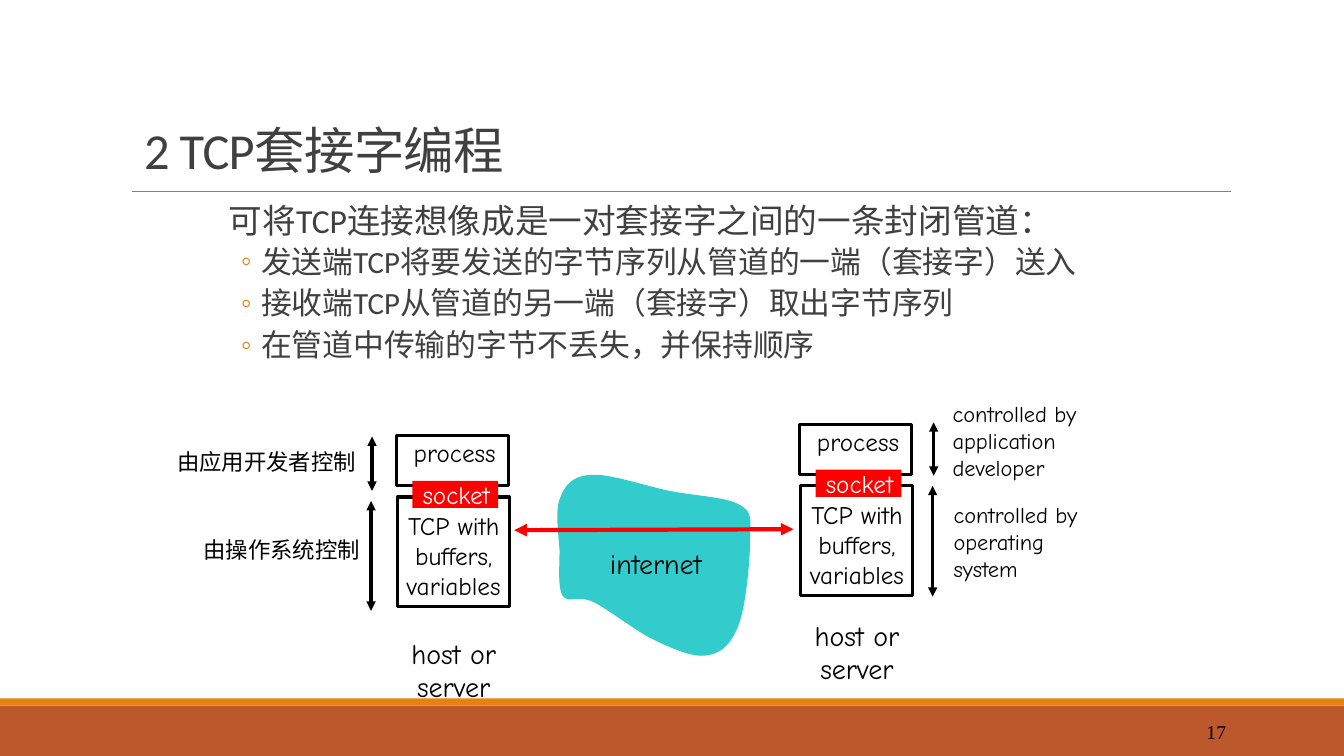
from dataclasses import dataclass

from lxml.etree import SubElement
from pptx import Presentation
from pptx.dml.color import RGBColor
from pptx.enum.shapes import MSO_CONNECTOR, MSO_SHAPE
from pptx.enum.text import MSO_ANCHOR, MSO_AUTO_SIZE, PP_ALIGN
from pptx.oxml.ns import qn
from pptx.util import Inches, Pt


@dataclass(frozen=True)
class Theme:
    heading_font: str = "Calibri"
    diagram_font: str = "Comic Neue"
    number_font: str = "Times New Roman"
    ink: str = "404040"
    black: str = "000000"
    white: str = "FFFFFF"
    rule: str = "808080"
    accent: str = "E48312"
    footer: str = "BD582C"
    red: str = "FF0000"
    cloud: str = "33CCCC"
    title_size: float = 36
    lead_size: float = 24
    bullet_size: float = 22
    caption_size: float = 20
    host_size: float = 18
    note_size: float = 16
    number_size: float = 14
    outline: float = 2.25
    pipe: float = 3
    hairline: float = 0.5


THEME = Theme()

CLOUD_START = (5.87, 4.71)
CLOUD_CURVES = [
    ((5.69, 4.72), (5.61, 4.8), (5.56, 4.93)),
    ((5.5, 5.05), (5.54, 5.3), (5.55, 5.46)),
    ((5.55, 5.63), (5.53, 5.82), (5.58, 5.91)),
    ((5.64, 5.99), (5.73, 5.9), (5.88, 5.97)),
    ((6.03, 6.04), (6.3, 6.26), (6.49, 6.35)),
    ((6.68, 6.44), (6.88, 6.53), (7.02, 6.5)),
    ((7.16, 6.48), (7.26, 6.38), (7.33, 6.19)),
    ((7.4, 6), (7.44, 5.55), (7.44, 5.35)),
    ((7.44, 5.15), (7.47, 5.09), (7.34, 5.01)),
    ((7.21, 4.93), (6.89, 4.92), (6.64, 4.87)),
    ((6.4, 4.82), (6.05, 4.7), CLOUD_START),
]


def rgb(value):
    return RGBColor.from_string(value)


def place(shape, box):
    shape.left, shape.top, shape.width, shape.height = map(Inches, box)


def style_font(paragraph, face, size, color):
    paragraph.font.name = face
    paragraph.font.size = Pt(size)
    paragraph.font.color.rgb = rgb(color)


def sample_curves(start, curves, steps=12):
    """Return points along a chain of cubic Bezier curves."""
    points = []
    for first, second, end in curves:
        for step in range(1, steps + 1):
            t = step / steps
            weights = ((1 - t) ** 3, 3 * t * (1 - t) ** 2, 3 * t * t * (1 - t), t ** 3)
            corners = (start, first, second, end)
            points.append(tuple(
                Inches(sum(w * corner[axis] for w, corner in zip(weights, corners)))
                for axis in (0, 1)))
        start = end
    return points


class SlideBuilder:
    def __init__(self, slide, theme):
        self.slide, self.theme = slide, theme
        self.shapes = slide.shapes

    def title(self, text, box):
        heading = self.slide.shapes.title
        place(heading, box)
        frame = heading.text_frame
        frame.text = text
        frame.vertical_anchor = MSO_ANCHOR.BOTTOM
        frame.auto_size = MSO_AUTO_SIZE.NONE
        paragraph = frame.paragraphs[0]
        paragraph.alignment = PP_ALIGN.LEFT
        paragraph.line_spacing = 0.85
        style_font(paragraph, self.theme.heading_font, self.theme.title_size, self.theme.ink)
        paragraph.runs[0].font._element.set("spc", "-50")

    def body(self, lead, bullets, box):
        content = self.slide.placeholders[1]
        place(content, box)
        frame = content.text_frame
        frame.auto_size = MSO_AUTO_SIZE.NONE
        frame.margin_left = frame.margin_right = 0
        frame.text = "\n".join([lead, *bullets])
        for index, paragraph in enumerate(frame.paragraphs):
            is_bullet = index > 0
            paragraph.level = int(is_bullet)
            paragraph.line_spacing = 0.9
            paragraph.space_before = Pt(2 if is_bullet else 0)
            paragraph.space_after = Pt(4 if is_bullet else 2)
            self.mark(paragraph, is_bullet)
            size = self.theme.bullet_size if is_bullet else self.theme.lead_size
            style_font(paragraph, self.theme.heading_font, size, self.theme.ink)

    def mark(self, paragraph, is_bullet):
        """Set the paragraph's indent and its bullet, if it has one."""
        properties = paragraph._p.get_or_add_pPr()
        properties.set("marL", str(Inches(0.42 if is_bullet else 0.1)))
        properties.set("indent", str(Inches(-0.2 if is_bullet else 0)))
        if is_bullet:
            tint = SubElement(properties, qn("a:buClr"))
            SubElement(tint, qn("a:srgbClr"), val=self.theme.accent)
            SubElement(properties, qn("a:buChar"), char="◦")
        else:
            SubElement(properties, qn("a:buNone"))

    def rectangle(self, box, fill=None, outlined=False):
        rectangle = self.shapes.add_shape(MSO_SHAPE.RECTANGLE, *map(Inches, box))
        self.paint(rectangle, fill)
        if outlined:
            rectangle.line.color.rgb = rgb(self.theme.black)
            rectangle.line.width = Pt(self.theme.outline)

    def paint(self, shape, fill):
        shape.shadow.inherit = False
        shape.line.fill.background()
        if fill:
            shape.fill.solid()
            shape.fill.fore_color.rgb = rgb(fill)
        else:
            shape.fill.background()

    def label(self, text, box, size, align=PP_ALIGN.CENTER, color=None, face=None):
        frame = self.shapes.add_textbox(*map(Inches, box)).text_frame
        frame.word_wrap = False
        frame.auto_size = MSO_AUTO_SIZE.SHAPE_TO_FIT_TEXT
        frame.vertical_anchor = MSO_ANCHOR.MIDDLE
        frame.text = text
        for paragraph in frame.paragraphs:
            paragraph.alignment = align
            style_font(paragraph, face or self.theme.diagram_font, size,
                       color or self.theme.black)

    def line(self, start, end, color, width, arrows=True):
        connector = self.shapes.add_connector(
            MSO_CONNECTOR.STRAIGHT, *map(Inches, (*start, *end)))
        connector.line.color.rgb = rgb(color)
        connector.line.width = Pt(width)
        if arrows:
            for end_tag in ("a:headEnd", "a:tailEnd"):
                SubElement(connector.line._get_or_add_ln(), qn(end_tag), type="triangle")
        SubElement(connector._element.spPr, qn("a:effectLst"))

    def span(self, x, top, bottom):
        self.line((x, bottom), (x, top), self.theme.black, self.theme.outline)

    def cloud(self):
        outline = self.shapes.build_freeform(*map(Inches, CLOUD_START), scale=1)
        outline.add_line_segments(sample_curves(CLOUD_START, CLOUD_CURVES), close=True)
        self.paint(outline.convert_to_shape(), self.theme.cloud)

    def host(self, x, y):
        """Draw a host whose process box has its top left corner at x, y."""
        theme = self.theme
        self.shapes = self.slide.shapes.add_group_shape().shapes
        self.rectangle((x, y, 1.11, 0.5), theme.white, outlined=True)
        self.label("process", (x + 0.03, y - 0.03, 1.1, 0.4), theme.host_size)
        self.label("TCP with\nbuffers,\nvariables", (x - 0.05, y + 0.69, 1.24, 1),
                   theme.host_size)
        self.rectangle((x + 0.01, y + 0.61, 1.11, 1.09), outlined=True)
        self.rectangle((x + 0.16, y + 0.45, 0.85, 0.27), theme.red)
        self.label("socket", (x + 0.11, y + 0.39, 0.97, 0.4), theme.host_size,
                   color=theme.white)
        self.shapes = self.slide.shapes
        self.label("host or\nserver", (x, y + 1.94 - (0.07 if x > 6 else 0), 1.14, 0.77),
                   theme.caption_size)


def main():
    deck = Presentation()
    deck.slide_width, deck.slide_height = Inches(13.33), Inches(7.5)
    page = SlideBuilder(deck.slides.add_slide(deck.slide_layouts[1]), THEME)

    page.rectangle((0, 7, 13.33, 0.5), THEME.footer)
    page.rectangle((0, 6.93, 13.33, 0.07), THEME.accent)
    page.line((1.31, 1.9), (12.21, 1.9), THEME.rule, THEME.hairline, arrows=False)
    page.title("2 TCP套接字编程", (1.33, 0.58, 8.5, 1.25))
    page.body("可将TCP连接想像成是一对套接字之间的一条封闭管道：", [
        "发送端TCP将要发送的字节序列从管道的一端（套接字）送入",
        "接收端TCP从管道的另一端（套接字）取出字节序列",
        "在管道中传输的字节不丢失，并保持顺序",
    ], (2.17, 1.98, 8.87, 2.34))
    page.label("17", (10.83, 7.06, 1.43, 0.4), THEME.number_size, PP_ALIGN.RIGHT,
               face=THEME.number_font)

    page.host(3.93, 4.32)
    page.host(7.93, 4.21)
    for note, box, align in (
        ("由应用开发者控制", (1.63, 4.39, 2, 0.37), PP_ALIGN.RIGHT),
        ("由操作系统控制", (1.9, 5.27, 1.77, 0.37), PP_ALIGN.RIGHT),
        ("controlled by\napplication\ndeveloper", (9.35, 3.92, 1.56, 0.9), PP_ALIGN.LEFT),
        ("controlled by\noperating\nsystem", (9.36, 4.92, 1.56, 0.9), PP_ALIGN.LEFT),
    ):
        page.label(note, box, THEME.note_size, align)
    for x, top, bottom in ((3.69, 4.33, 4.87), (3.68, 4.97, 6.06),
                           (9.26, 4.19, 4.72), (9.25, 4.82, 5.92)):
        page.span(x, top, bottom)

    page.cloud()
    page.label("internet", (5.87, 5.37, 1.27, 0.43), THEME.caption_size)
    page.line((7.87, 5.25), (5.1, 5.26), THEME.red, THEME.pipe)
    deck.save("out.pptx")


if __name__ == "__main__":
    main()
